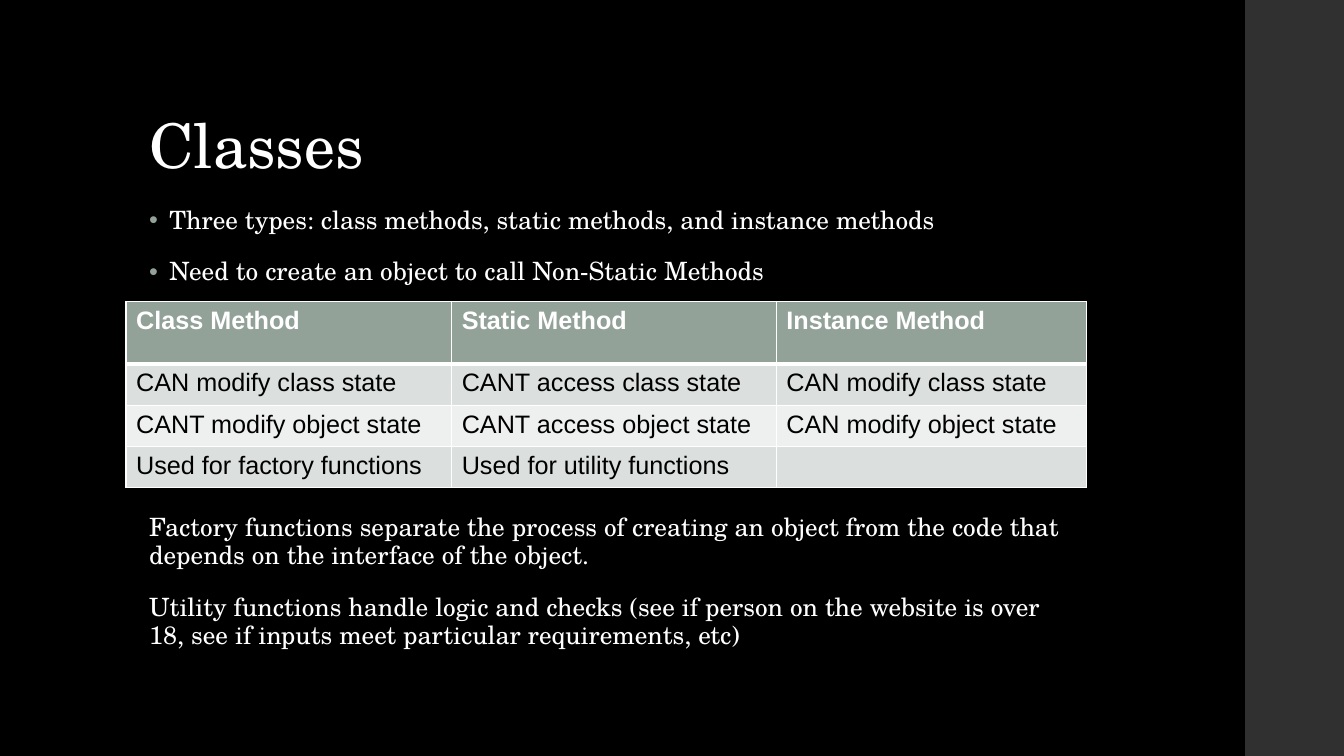
from lxml import etree
from pptx import Presentation
from pptx.dml.color import RGBColor
from pptx.enum.shapes import MSO_SHAPE
from pptx.enum.text import MSO_ANCHOR, MSO_AUTO_SIZE, PP_ALIGN
from pptx.oxml.ns import qn
from pptx.util import Inches, Pt

RECTANGLE = MSO_SHAPE.RECTANGLE
BOTTOM, TOP = MSO_ANCHOR.BOTTOM, MSO_ANCHOR.TOP
NO_AUTOFIT = MSO_AUTO_SIZE.NONE
LEFT = PP_ALIGN.LEFT

SERIF, SANS = "TeX Gyre Schola", "Arial"
WHITE, BLACK, SIDEBAR, SAGE = "FFFFFF", "000000", "303030", "93A299"
BAND_COLOURS = ["DBDFDD", "EEF0EF"]

BULLETS = [
    "Three types: class methods, static methods, and instance methods",
    "Need to create an object to call Non-Static Methods",
]
NOTES = [
    "Factory functions separate the process of creating an object from the code "
    "that depends on the interface of the object.",
    "Utility functions handle logic and checks (see if person on the website is "
    "over 18, see if inputs meet particular requirements, etc)",
]
METHOD_ROWS = [
    ["Class Method", "Static Method", "Instance Method"],
    ["CAN modify class state", "CANT access class state", "CAN modify class state"],
    ["CANT modify object state", "CANT access object state", "CAN modify object state"],
    ["Used for factory functions", "Used for utility functions", ""],
]
COLUMN_WIDTHS = [3.23, 3.22, 3.08]
ROW_HEIGHTS = [0.62, 0.41, 0.41, 0.41]


def colour(value):
    """Turn a hex string into a colour."""
    return RGBColor.from_string(value)


def fill_solid(fill, value):
    """Give a fill one solid colour."""
    fill.solid()
    fill.fore_color.rgb = colour(value)


def set_font(paragraph, name, size, value, bold=False):
    """Set the font of a whole paragraph."""
    font = paragraph.font
    font.name, font.size, font.bold = name, Pt(size), bold
    font.color.rgb = colour(value)


def place(shape, left, top, width, height):
    """Move and size a shape in inches."""
    shape.left, shape.top = Inches(left), Inches(top)
    shape.width, shape.height = Inches(width), Inches(height)


def set_bullet(paragraph, bulleted):
    """Add a hanging sage bullet, or remove the inherited one."""
    properties = paragraph._p.get_or_add_pPr()
    indent = Inches(0.2) if bulleted else 0
    properties.set("marL", str(indent))
    properties.set("indent", str(-indent))
    if bulleted:
        bullet_colour = etree.SubElement(properties, qn("a:buClr"))
        etree.SubElement(bullet_colour, qn("a:srgbClr"), val=SAGE)
        etree.SubElement(properties, qn("a:buFont"), typeface=SANS)
        etree.SubElement(properties, qn("a:buChar"), char="•")
    else:
        etree.SubElement(properties, qn("a:buNone"))


def set_borders(cell, widths):
    """Draw white cell borders, in points, for left, right, top and bottom."""
    properties = cell._tc.get_or_add_tcPr()
    for index, (side, width) in enumerate(zip("LRTB", widths)):
        line = etree.Element(qn(f"a:ln{side}"), w=str(Pt(width)))
        line_fill = etree.SubElement(line, qn("a:solidFill"))
        etree.SubElement(line_fill, qn("a:srgbClr"), val=WHITE)
        properties.insert(index, line)


def add_sidebar(slide):
    """Add the grey strip along the right edge."""
    sidebar = slide.shapes.add_shape(
        RECTANGLE, Inches(12.35), 0, Inches(0.98), Inches(7.5))
    sidebar.shadow.inherit = False
    fill_solid(sidebar.fill, SIDEBAR)
    sidebar.line.fill.background()


def fill_title(slide, text):
    """Place and format the slide title."""
    title = slide.shapes.title
    place(title, 1.38, 0.4, 10.6, 1.45)
    frame = title.text_frame
    frame.text = text
    frame.auto_size, frame.vertical_anchor = NO_AUTOFIT, BOTTOM
    paragraph = frame.paragraphs[0]
    paragraph.alignment, paragraph.line_spacing = LEFT, 0.9
    set_font(paragraph, SERIF, 44, WHITE)


def fill_body(slide):
    """Fill the body with bullets above the table and notes below it."""
    body = slide.placeholders[1]
    place(body, 1.38, 2, 9.4, 4.76)
    frame = body.text_frame
    frame.auto_size, frame.vertical_anchor = NO_AUTOFIT, TOP
    frame.text = "\n".join(BULLETS + NOTES)
    for index, (paragraph, space) in enumerate(zip(frame.paragraphs, [0, 16, 162, 16])):
        set_bullet(paragraph, index < len(BULLETS))
        paragraph.alignment, paragraph.line_spacing = LEFT, 0.95
        paragraph.space_before = Pt(space)
        set_font(paragraph, SERIF, 18, WHITE)


def add_method_table(slide):
    """Add the table comparing the three kinds of method."""
    table = slide.shapes.add_table(
        len(METHOD_ROWS), len(COLUMN_WIDTHS), Inches(1.25), Inches(2.99),
        Inches(sum(COLUMN_WIDTHS)), Inches(sum(ROW_HEIGHTS))).table
    for column, width in zip(table.columns, COLUMN_WIDTHS):
        column.width = Inches(width)
    for row_index, (row, height) in enumerate(zip(table.rows, ROW_HEIGHTS)):
        row.height = Inches(height)
        header = row_index == 0
        background = SAGE if header else BAND_COLOURS[(row_index - 1) % 2]
        borders = [1, 1, 3 if row_index == 1 else 1, 3 if header else 1]
        for cell, text in zip(row.cells, METHOD_ROWS[row_index]):
            cell.text = text
            fill_solid(cell.fill, background)
            set_borders(cell, borders)
            set_font(cell.text_frame.paragraphs[0], SANS, 18,
                     WHITE if header else BLACK, header)


def main():
    """Build and save the slide."""
    presentation = Presentation()
    presentation.slide_width, presentation.slide_height = Inches(13.33), Inches(7.5)
    slide = presentation.slides.add_slide(presentation.slide_layouts[1])
    fill_solid(slide.background.fill, BLACK)
    add_sidebar(slide)
    fill_title(slide, "Classes")
    fill_body(slide)
    add_method_table(slide)
    presentation.save("out.pptx")


if __name__ == "__main__":
    main()
